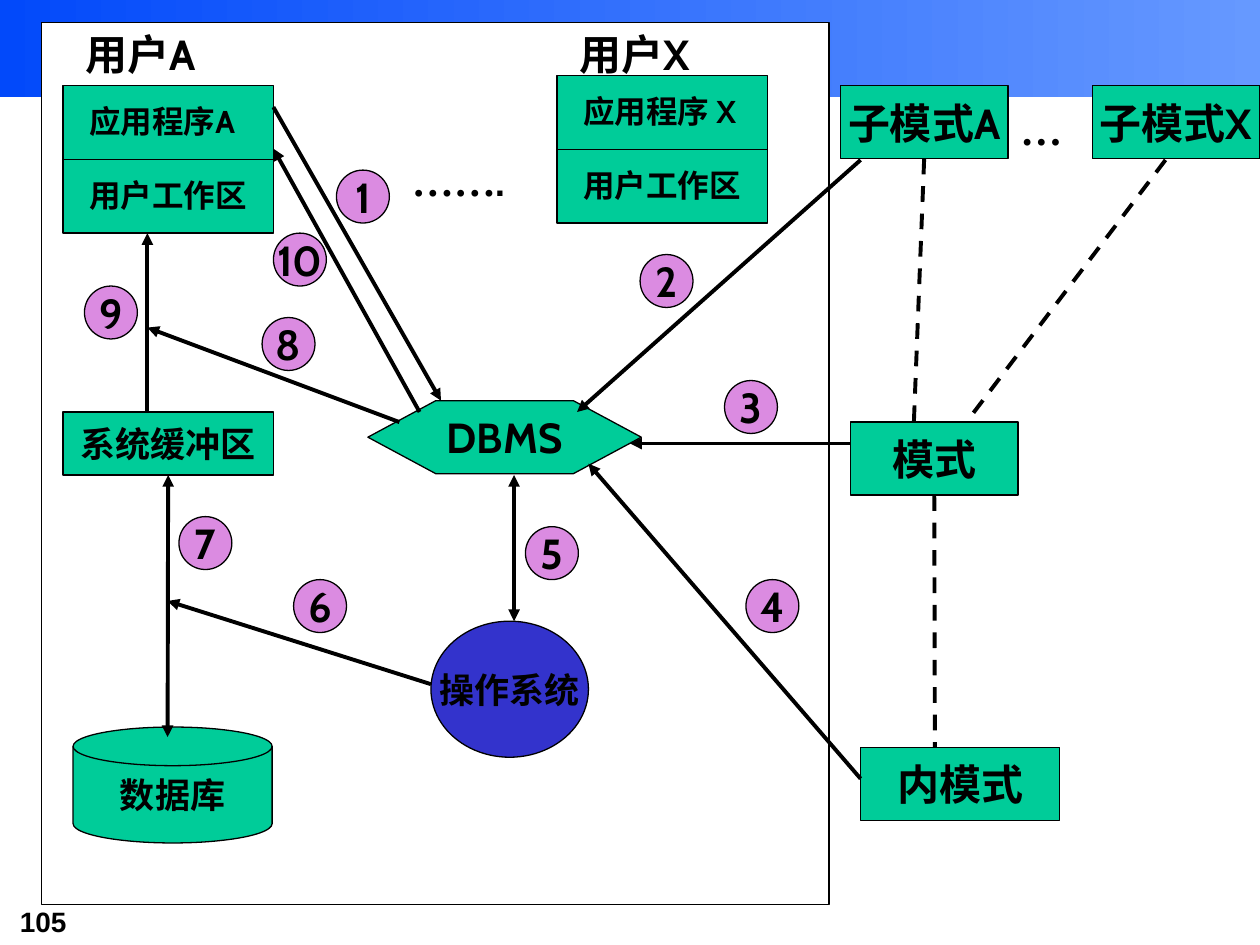
from dataclasses import dataclass
from typing import Optional

from lxml import etree
from pptx import Presentation
from pptx.dml.color import RGBColor
from pptx.enum.dml import MSO_LINE
from pptx.enum.shapes import MSO_CONNECTOR, MSO_SHAPE
from pptx.enum.text import MSO_ANCHOR, PP_ALIGN
from pptx.oxml.ns import qn
from pptx.util import Inches, Pt

RECTANGLE = MSO_SHAPE.RECTANGLE
OVAL = MSO_SHAPE.OVAL
HEXAGON = MSO_SHAPE.HEXAGON
CYLINDER = MSO_SHAPE.FLOWCHART_MAGNETIC_DISK
STRAIGHT = MSO_CONNECTOR.STRAIGHT
DASH = MSO_LINE.DASH
MIDDLE = MSO_ANCHOR.MIDDLE
CENTER = PP_ALIGN.CENTER
LEFT = PP_ALIGN.LEFT
SIDE_LEFT, SIDE_BOTTOM, SIDE_RIGHT = 1, 2, 3


@dataclass(frozen=True)
class Theme:
    ink: str = "000000"
    paper: str = "FFFFFF"
    green: str = "00CC99"
    blue: str = "3333CC"
    violet: str = "DB8BE1"
    band_start: str = "0249FA"
    band_end: str = "6699FF"
    font: str = "Cabin"
    serif: str = "Times New Roman"
    sans: str = "Arial"
    large: int = 24
    medium: int = 20
    small: int = 18
    number: int = 16
    thin: float = 0.75
    thick: float = 2.25


THEME = Theme()


@dataclass(frozen=True)
class Node:
    text: str
    left: float
    top: float
    width: float
    height: float
    size: int = THEME.large
    kind: int = RECTANGLE
    fill: str = THEME.green


@dataclass(frozen=True)
class Link:
    start: tuple[float, float]
    end: tuple[float, float]
    head: bool = False
    tail: bool = True
    dashed: bool = False
    source: Optional[str] = None


@dataclass(frozen=True)
class User:
    name: str
    program: str
    left: float
    top: float


BADGE_SIZE = 0.42
BLOCK_WIDTH, BLOCK_HEIGHT = 1.67, 1.17
USERS = [User("用户A", "应用程序A", 0.5, 0.68), User("用户X", "应用程序 X", 4.42, 0.6)]
NODES = [
    Node("系统缓冲区", 0.5, 3.27, 1.67, 0.5, THEME.medium),
    Node("DBMS", 2.92, 3.18, 2.17, 0.58, kind=HEXAGON),
    Node("操作系统", 3.42, 4.93, 1.25, 1.08, THEME.medium, OVAL, THEME.blue),
    Node("数据库", 0.58, 5.77, 1.58, 0.92, THEME.medium, CYLINDER),
    Node("内模式", 6.83, 5.93, 1.58, 0.58),
    Node("模式", 6.75, 3.35, 1.33, 0.58),
    Node("子模式A", 6.67, 0.68, 1.33, 0.58),
    Node("子模式X", 8.67, 0.68, 1.33, 0.58),
]
LINKS = [
    Link((7.42, 3.93), (7.42, 5.93), tail=False, dashed=True, source="模式"),
    Link((7.33, 1.27), (7.25, 3.43), tail=False, dashed=True, source="子模式A"),
    Link((9.25, 1.27), (7.67, 3.35), tail=False, dashed=True),
    Link((2.17, 0.85), (3.5, 3.18)),
    Link((3.33, 3.27), (2.17, 1.18)),
    Link((1.17, 3.27), (1.17, 1.85)),
    Link((3.17, 3.35), (1.17, 2.6)),
    Link((1.33, 3.77), (1.33, 5.85), head=True, source="系统缓冲区"),
    Link((4.08, 4.93), (4.08, 3.77), head=True),
    Link((3.42, 5.43), (1.33, 4.77)),
    Link((6.83, 1.27), (4.58, 3.27)),
    Link((6.75, 3.52), (5, 3.52)),
    Link((6.83, 6.18), (4.67, 3.68)),
]
BADGES = [(2.67, 1.35), (5.08, 2.02), (5.75, 3.02), (5.92, 4.6), (4.17, 4.18),
          (2.33, 4.6), (1.42, 4.1), (2.08, 2.52), (0.67, 2.27), (2.17, 1.85)]


def color(value: str) -> RGBColor:
    return RGBColor.from_string(value)


def apply(target, values: dict) -> None:
    for name, value in values.items():
        setattr(target, name, value)


def write(box, spans: list[tuple[str, str]], size: int, align=LEFT) -> None:
    para = box.text_frame.paragraphs[0]
    para.alignment = align
    for text, font in spans:
        span = para.add_run()
        span.text = text
        apply(span.font, {"name": font, "size": Pt(size), "bold": True})
        span.font.color.rgb = color(THEME.ink)


def add_label(page, spans: list[tuple[str, str]], left: float, top: float,
              width: float, height: float, size: int, inset: float = 0.1) -> None:
    box = page.shapes.add_textbox(Inches(left), Inches(top), Inches(width), Inches(height))
    apply(box.text_frame, {"word_wrap": True, "margin_left": Inches(inset)})
    write(box, spans, size)


def add_node(page, node: Node):
    shape = page.shapes.add_shape(node.kind, Inches(node.left), Inches(node.top),
                                  Inches(node.width), Inches(node.height))
    shape.shadow.inherit = False
    shape.fill.solid()
    shape.fill.fore_color.rgb = color(node.fill)
    shape.line.color.rgb = color(THEME.ink)
    shape.line.width = Pt(THEME.thin)
    if node.kind == HEXAGON:
        shape.adjustments[0] = 0.93
    if node.text:
        apply(shape.text_frame, {"word_wrap": False, "vertical_anchor": MIDDLE})
        write(shape, [(node.text, THEME.font)], node.size, CENTER)
    return shape


def add_line(page, start: tuple[float, float], end: tuple[float, float], width: float):
    line = page.shapes.add_connector(STRAIGHT, *map(Inches, start + end))
    line.line.color.rgb = color(THEME.ink)
    line.line.width = Pt(width)
    etree.SubElement(line._element.spPr, qn("a:effectLst"))
    return line


def add_link(page, link: Link, shapes: dict) -> None:
    line = add_line(page, link.start, link.end, THEME.thick)
    if link.source:
        line.begin_connect(shapes[link.source], SIDE_BOTTOM)
    if link.dashed:
        line.line.dash_style = DASH
    outline = line.line._get_or_add_ln()
    for tag, wanted in (("a:headEnd", link.head), ("a:tailEnd", link.tail)):
        if wanted:
            etree.SubElement(outline, qn(tag), type="triangle")


def add_user(page, user: User) -> None:
    block = add_node(page, Node("", user.left, user.top, BLOCK_WIDTH, BLOCK_HEIGHT))
    middle = user.top + BLOCK_HEIGHT / 2
    divider = add_line(page, (user.left, middle), (user.left + BLOCK_WIDTH, middle), THEME.thin)
    divider.begin_connect(block, SIDE_LEFT)
    divider.end_connect(block, SIDE_RIGHT)
    for text, top in ((user.program, user.top), ("用户工作区", middle)):
        add_label(page, [(text, THEME.font)], user.left, top + 0.08, BLOCK_WIDTH, 0.4,
                  THEME.small, inset=0.21)
    add_label(page, [(user.name, THEME.font)], user.left + 0.08, 0.18, 1.42, 0.5, THEME.large)


def add_band(page) -> None:
    band = page.shapes.add_shape(RECTANGLE, 0, 0, Inches(10), Inches(0.77))
    band.shadow.inherit = False
    band.line.fill.background()
    band.fill.gradient()
    band.fill.gradient_angle = 0
    for stop, value in zip(band.fill.gradient_stops, (THEME.band_start, THEME.band_end)):
        stop.color.rgb = color(value)


def main() -> None:
    deck = Presentation()
    apply(deck, {"slide_width": Inches(10), "slide_height": Inches(7.5)})
    page = deck.slides.add_slide(deck.slide_layouts[6])
    add_band(page)
    add_label(page, [("105", THEME.sans)], 0.06, 7.13, 1.22, 0.37, THEME.number)
    add_node(page, Node("", 0.33, 0.18, 6.25, 7, fill=THEME.paper))
    add_label(page, [("……", THEME.serif), (".", THEME.font)], 3.17, 1.18, 1.33, 0.5, THEME.large)
    for user in USERS:
        add_user(page, user)
    shapes = {node.text: add_node(page, node) for node in NODES}
    add_label(page, [("…", THEME.serif)], 8, 0.77, 0.5, 0.5, THEME.large)
    for link in LINKS:
        add_link(page, link, shapes)
    for number, (left, top) in enumerate(BADGES, 1):
        add_node(page, Node(str(number), left, top, BADGE_SIZE, BADGE_SIZE,
                            kind=OVAL, fill=THEME.violet))
    deck.save("out.pptx")


if __name__ == "__main__":
    main()
